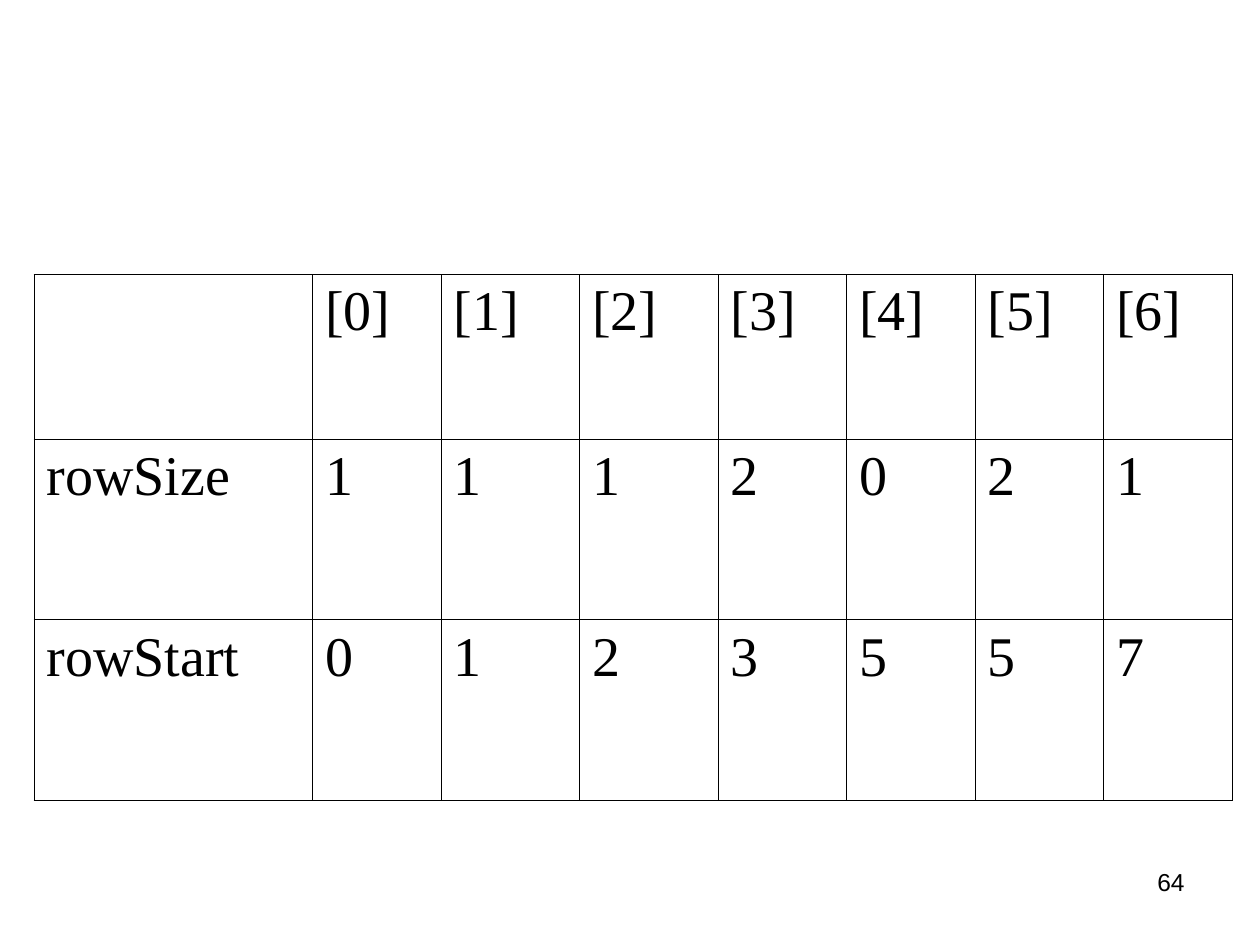
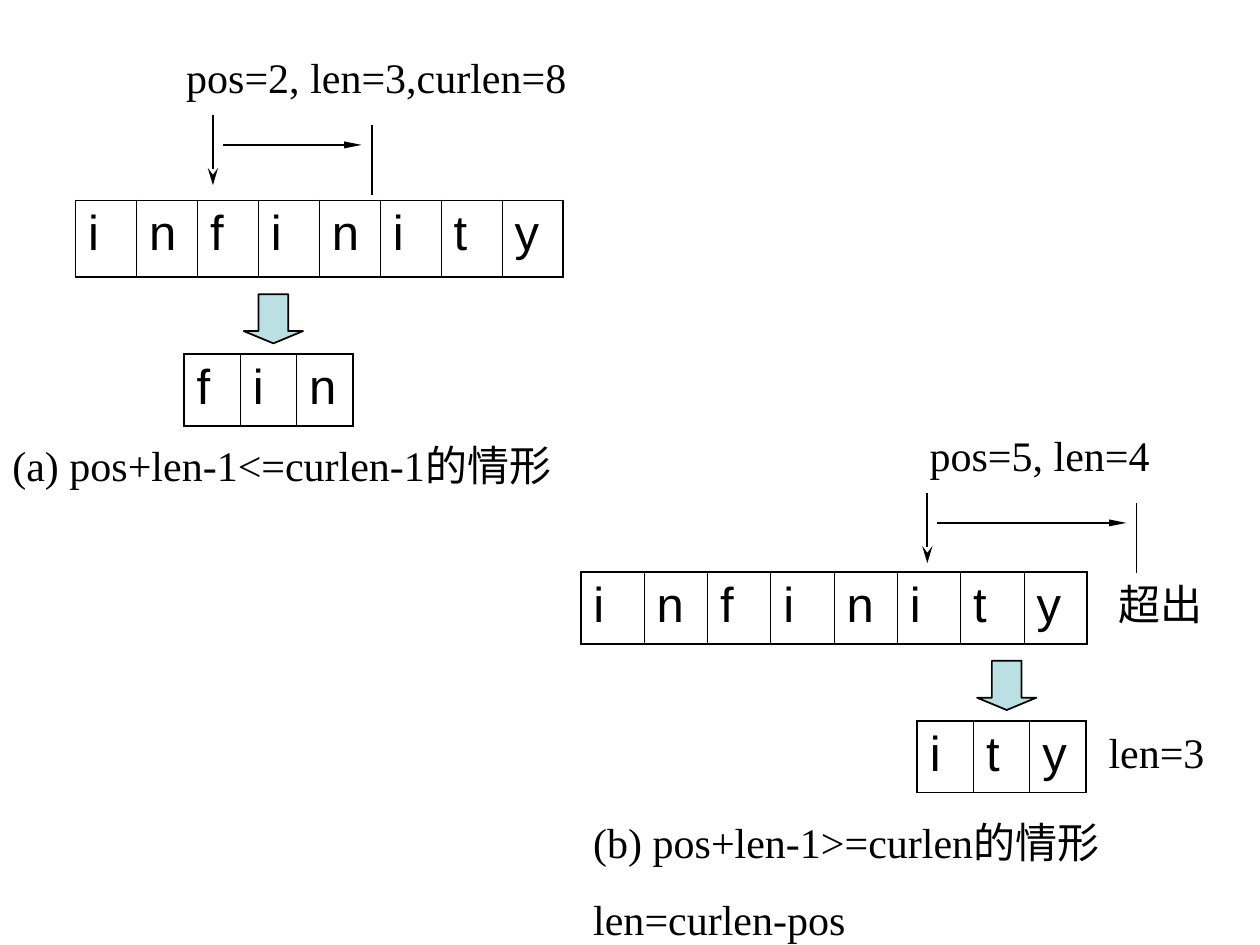
from lxml import etree
from pptx import Presentation
from pptx import util as u
from pptx.dml.color import RGBColor
from pptx.enum import shapes, text
from pptx.oxml import ns

# Shared look; every length below counts grid columns or rows
COLUMNS, ROWS = 100, 75
WIDTH, HEIGHT = u.Inches(10), u.Inches(7.5)
INK, ACCENT = "000000", "BBE0E3"
THIN, THICK = 0.45, 1.08
LABEL = {"name": "Times New Roman", "size": u.Pt(24)}
INDEX = {"name": "Times New Roman", "size": u.Pt(32)}
LETTER = {"name": "Arial", "size": u.Pt(28)}
FOOTER = {"name": "Arial", "size": u.Pt(14)}


def x(columns):
    return round(WIDTH * columns / COLUMNS)


def y(rows):
    return round(HEIGHT * rows / ROWS)


def color(hex_string):
    return RGBColor.from_string(hex_string)


def sub(parent, tag, **attributes):
    return etree.SubElement(parent, ns.qn(tag), attributes)


def write(frame, lines, style, align=text.PP_ALIGN.LEFT):
    """Fill a text frame with one paragraph per line."""
    for number, line in enumerate(lines):
        paragraph = frame.add_paragraph() if number else frame.paragraphs[0]
        paragraph.text = line
        paragraph.alignment = align
        if number:
            paragraph.space_before = u.Pt(15)
        for key, value in style.items():
            setattr(paragraph.font, key, value)
        paragraph.font.color.rgb = color(INK)


def add_label(slide, left, top, width, height, *lines, style=LABEL, **options):
    frame = slide.shapes.add_textbox(x(left), y(top), x(width), y(height)).text_frame
    frame.word_wrap = True
    write(frame, lines, style, **options)


def set_borders(cell, widths):
    properties = cell._tc.get_or_add_tcPr()
    for position, (side, points) in enumerate(widths.items()):
        line = etree.Element(ns.qn(f"a:{side}"), {"w": str(u.Pt(points))})
        sub(sub(line, "a:solidFill"), "a:srgbClr", val=INK)
        properties.insert(position, line)


def add_grid(slide, left, top, widths, heights, rows, style, outline):
    """Add a plain ruled table whose outer edge has its own line width."""
    table = slide.shapes.add_table(len(heights), len(widths), x(left), y(top),
                                   x(sum(widths)), y(sum(heights))).table
    table.first_row = table.horz_banding = False
    for column, width in zip(table.columns, widths):
        column.width = x(width)
    for row, height in zip(table.rows, heights):
        row.height = y(height)
    last_row, last_column = len(heights) - 1, len(widths) - 1
    for r, values in enumerate(rows):
        for c, value in enumerate(values):
            cell = table.cell(r, c)
            cell.fill.background()
            write(cell.text_frame, [value], style)
            edges = {"lnL": c == 0, "lnR": c == last_column,
                     "lnT": r == 0, "lnB": r == last_row}
            set_borders(cell, {side: outline if outer else THIN
                               for side, outer in edges.items()})


def add_letters(slide, word, left, top, width, height):
    add_grid(slide, left, top, [width / len(word)] * len(word), [height],
             [word], LETTER, THICK)


def add_line(slide, x1, y1, x2, y2, **head):
    line = slide.shapes.add_connector(shapes.MSO_CONNECTOR.STRAIGHT,
                                      x(x1), y(y1), x(x2), y(y2))
    line.line.color.rgb = color(INK)
    line.line.width = u.Pt(1)
    if head:
        sub(line.line._get_or_add_ln(), "a:tailEnd", **head)
    sub(line._element.spPr, "a:effectLst")


def add_span(slide, left, top, length):
    """Mark the start position, the length and the end of a substring."""
    end = left + length + 1.6
    add_line(slide, left, top, left, top + 5.6, type="stealth", w="med", len="lg")
    add_line(slide, end, top + 0.8, end, top + 6.4)
    add_line(slide, left + 0.8, top + 2.4, end - 0.8, top + 2.4,
             type="triangle", w="sm", len="lg")


def add_result(slide, letters, left, top):
    """Add a block arrow that leads down to the extracted letters."""
    arrow = slide.shapes.add_shape(shapes.MSO_SHAPE.DOWN_ARROW, x(left + 4.75),
                                   y(top - 4.75), x(4.7), y(3.9))
    arrow.adjustments[0], arrow.adjustments[1] = 0.5, 0.25
    arrow.shadow.inherit = False
    arrow.fill.solid()
    arrow.fill.fore_color.rgb = color(ACCENT)
    arrow.line.color.rgb = color(INK)
    arrow.line.width = u.Pt(1)
    add_letters(slide, letters, left, top, 13.4, 5.7)


def build_row_table(slide):
    rows = [["", *(f"[{i}]" for i in range(7))],
            ["rowSize", *"1112021"],
            ["rowStart", *"0123557"]]
    widths = [22.1, 10.2, 11, 11, 10.2, 10.2, 10.2, 10.2]
    add_grid(slide, 2.7, 21.8, widths, [13.05, 14.35, 14.35], rows, INDEX, THIN)
    add_label(slide, 71.7, 68.3, 23.3, 5.2, "64", style=FOOTER,
              align=text.PP_ALIGN.RIGHT)


def build_substring_cases(slide):
    # (a) the substring lies inside the word
    add_letters(slide, "infinity", 6, 15.9, 38.7, 6.1)
    add_label(slide, 13.8, 3.6, 34.6, 5, "pos=2, len=3,curlen=8")
    add_span(slide, 16.9, 9.1, 11)
    add_result(slide, "fin", 14.6, 28.1)
    add_label(slide, 0, 34.4, 53.9, 5, "(a) pos+len-1<=curlen-1的情形")

    # (b) the substring runs past the end
    add_letters(slide, "infinity", 46.1, 45.4, 40.2, 5.7)
    add_label(slide, 72.8, 33.6, 21.3, 5, "pos=5, len=4")
    add_span(slide, 73.6, 39.1, 15)
    add_result(slide, "ity", 72.8, 57.2)
    add_label(slide, 46.1, 64.3, 53.9, 11.1,
              "(b) pos+len-1>=curlen的情形", "len=curlen-pos")
    add_label(slide, 87, 57.2, 13, 5, "len=3")
    add_label(slide, 87.8, 45.4, 9.5, 5, "超出")


def main():
    deck = Presentation()
    deck.slide_width, deck.slide_height = WIDTH, HEIGHT
    blank = deck.slide_layouts[6]
    for build in (build_row_table, build_substring_cases):
        build(deck.slides.add_slide(blank))
    deck.save("out.pptx")


if __name__ == "__main__":
    main()
